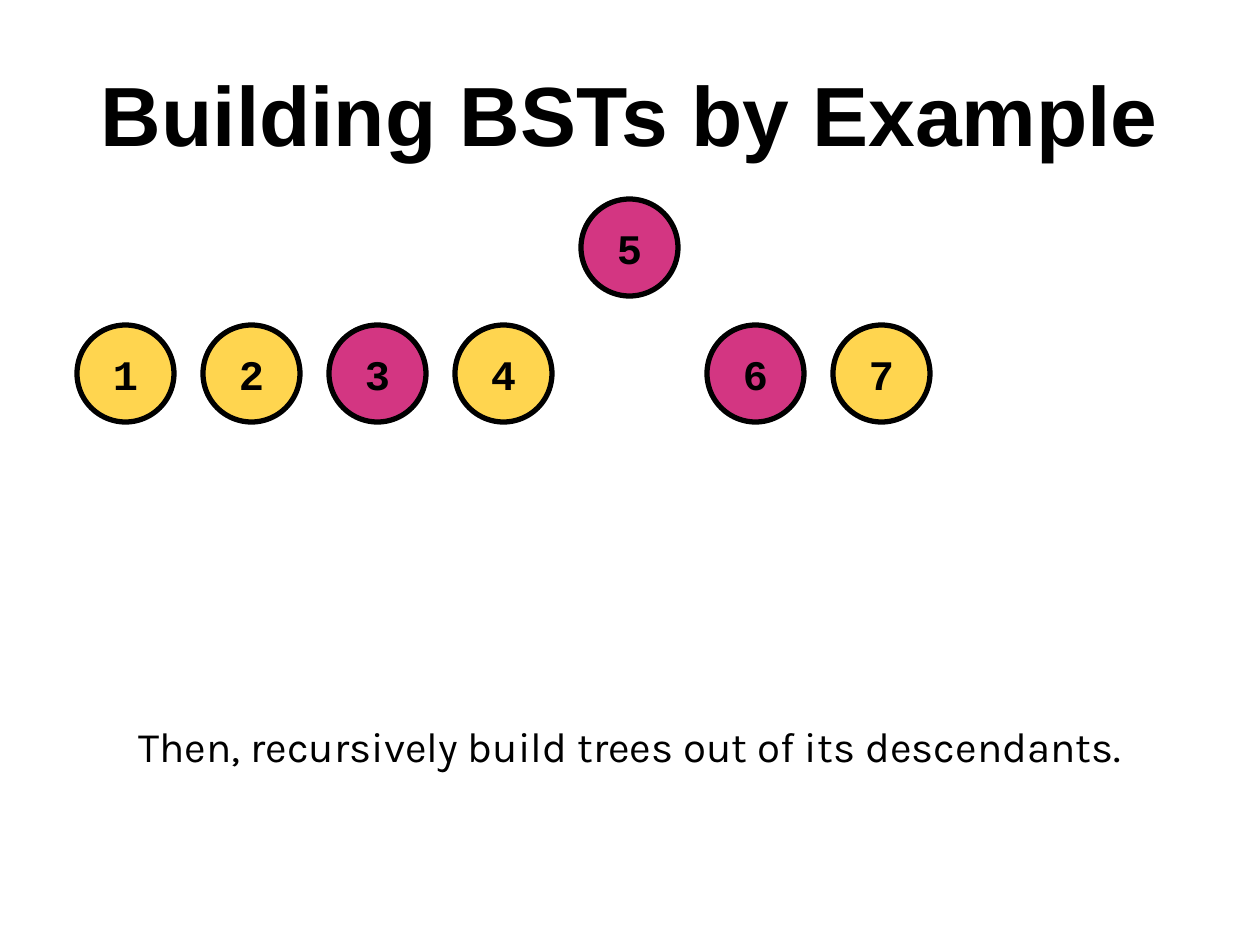
import pptx
import pptx.util
import pptx.dml.color
import pptx.enum.shapes
import pptx.enum.text

PX_PER_INCH = 126
COLORS = {"ink": "000000", "node": "FFD54F", "root": "D33682"}
NODE_SIZE, NODE_PITCH = 97, 126
INSET = 13
ROOT_VALUE = 5
SUBTREE_ROOTS = {3, 6}


def px(length):
    return pptx.util.Emu(round(length * 914400 / PX_PER_INCH))


def color(name):
    return pptx.dml.color.RGBColor.from_string(COLORS[name])


def write(shape, text, font_name, size, bold=False, anchor="TOP", top_inset=INSET):
    """Set one centred line of text in the shape."""
    frame = shape.text_frame
    frame.word_wrap = True
    frame.auto_size = pptx.enum.text.MSO_AUTO_SIZE.NONE
    frame.vertical_anchor = pptx.enum.text.MSO_ANCHOR[anchor]
    frame.margin_left = frame.margin_right = frame.margin_bottom = px(INSET)
    frame.margin_top = px(top_inset)
    paragraph = frame.paragraphs[0]
    paragraph.alignment = pptx.enum.text.PP_ALIGN.CENTER
    run = paragraph.add_run()
    run.text = text
    run.font.name = font_name
    run.font.size = pptx.util.Pt(size)
    run.font.bold = bold
    run.font.color.rgb = color("ink")


def place_title(slide, left, top, width, height):
    title = slide.shapes.title
    title.left, title.top, title.width, title.height = map(px, (left, top, width, height))
    write(title, "Building BSTs by Example", "Arial", 48, bold=True, top_inset=21)


def add_caption(slide, left, top, width, height):
    """Add the sentence below the space kept for the tree."""
    caption = slide.shapes.add_textbox(*map(px, (left, top, width, height)))
    write(caption, "Then, recursively build trees out of its descendants.",
          "Karla", 24, top_inset=521)


def add_node(slide, left, top, value, fill):
    node = slide.shapes.add_shape(pptx.enum.shapes.MSO_SHAPE.OVAL,
                                  px(left), px(top), px(NODE_SIZE), px(NODE_SIZE))
    node.shadow.inherit = False
    node.fill.solid()
    node.fill.fore_color.rgb = color(fill)
    node.line.color.rgb = color("ink")
    node.line.width = pptx.util.Pt(3)
    write(node, str(value), "Courier New", 24, bold=True, anchor="MIDDLE")


def add_tree(slide, left, top):
    """Lay the values out in order, with the root one level above the rest."""
    for value in range(1, 8):
        level = 0 if value == ROOT_VALUE else 1
        is_root = value == ROOT_VALUE or value in SUBTREE_ROOTS
        add_node(slide, left + (value - 1) * NODE_PITCH, top + level * NODE_PITCH,
                 value, "root" if is_root else "node")


def main():
    deck = pptx.Presentation()
    deck.slide_width, deck.slide_height = px(1260), px(945)
    slide = deck.slides.add_slide(deck.slide_layouts[5])
    place_title(slide, 0, 42, 1260, 158)
    add_caption(slide, 84, 199, 1092, 746)
    add_tree(slide, 77, 199)
    deck.save("out.pptx")


if __name__ == "__main__":
    main()
